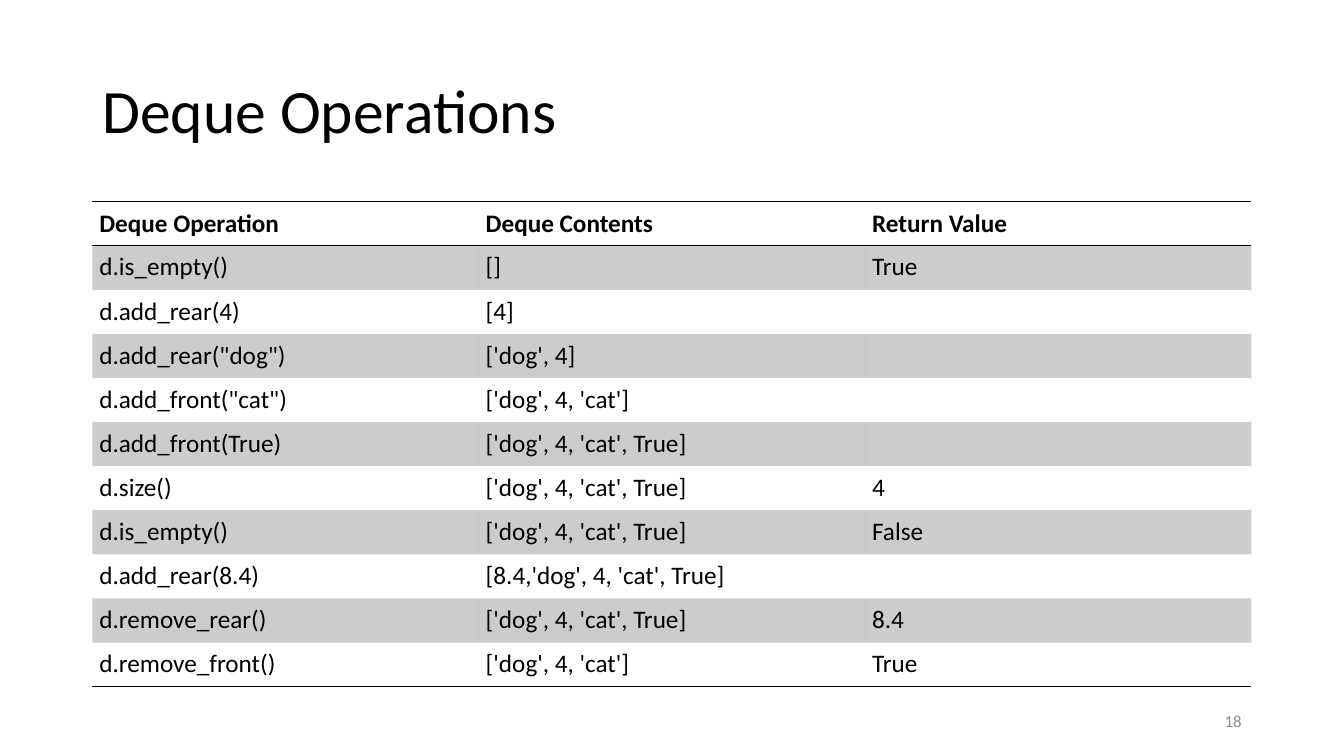
from lxml import etree
from pptx import Presentation
from pptx.dml.color import RGBColor
from pptx.enum.text import MSO_ANCHOR, PP_ALIGN
from pptx.oxml.ns import qn
from pptx.util import Pt

PX = 6350  # EMU per px, slide is 1920 x 1080 px
MIDDLE, BOTTOM, TOP = MSO_ANCHOR.MIDDLE, MSO_ANCHOR.BOTTOM, MSO_ANCHOR.TOP
RIGHT = PP_ALIGN.RIGHT
BLACK, GREY = "000000", "8C8C8C"
NO_STYLE = "{2D5ABB26-0587-4C30-8999-92F81FD0307C}"

ROWS = [
    ("Deque Operation", "Deque Contents", "Return Value"),
    ("d.is_empty()", "[]", "True"),
    ("d.add_rear(4)", "[4]", ""),
    ('d.add_rear("dog")', "['dog', 4]", ""),
    ('d.add_front("cat")', "['dog', 4, 'cat']", ""),
    ("d.add_front(True)", "['dog', 4, 'cat', True]", ""),
    ("d.size()", "['dog', 4, 'cat', True]", "4"),
    ("d.is_empty()", "['dog', 4, 'cat', True]", "False"),
    ("d.add_rear(8.4)", "[8.4,'dog', 4, 'cat', True]", ""),
    ("d.remove_rear()", "['dog', 4, 'cat', True]", "8.4"),
    ("d.remove_front()", "['dog', 4, 'cat']", "True"),
]
COL_W, ROW_H = 552, 63


def add_run(p, text, size, color, bold=False):
    r = p.add_run()
    r.text = text
    r.font.name, r.font.size, r.font.bold = "Calibri", Pt(size), bold
    r.font.color.rgb = RGBColor.from_string(color)


def add_border(cell, tag):
    """Draw a 1 pt black line on the side named by tag (a:lnT or a:lnB)."""
    ln = etree.Element(qn(tag), w=str(Pt(1)))
    fill = etree.SubElement(ln, qn("a:solidFill"))
    etree.SubElement(fill, qn("a:srgbClr"), val=BLACK)
    cell._tc.get_or_add_tcPr().insert(0, ln)


prs = Presentation()
prs.slide_width, prs.slide_height = 1920 * PX, 1080 * PX
s = prs.slides.add_slide(prs.slide_layouts[5])

# Title
title = s.shapes.title
title.left, title.top, title.width, title.height = 132 * PX, 58 * PX, 1656 * PX, 209 * PX
title.text_frame.vertical_anchor = MIDDLE
p = title.text_frame.paragraphs[0]
p.alignment = PP_ALIGN.LEFT
p.line_spacing = 0.9
add_run(p, "Deque Operations", 44, BLACK)

# Table
frame = s.shapes.add_table(len(ROWS), 3, 132 * PX, 288 * PX,
                           3 * COL_W * PX, len(ROWS) * ROW_H * PX)
table = frame.table
table.first_row = table.horz_banding = False
table._tbl.tblPr.find(qn("a:tableStyleId")).text = NO_STYLE
for col in table.columns:
    col.width = COL_W * PX

for i, row in enumerate(ROWS):
    table.rows[i].height = ROW_H * PX
    header = i == 0
    for j, text in enumerate(row):
        cell = table.cell(i, j)
        cell.margin_left = cell.margin_right = 10 * PX
        cell.margin_top = cell.margin_bottom = 9 * PX
        cell.vertical_anchor = BOTTOM if header else TOP
        if text:
            add_run(cell.text_frame.paragraphs[0], text, 18, BLACK, header)
        if i % 2:
            cell.fill.solid()
            cell.fill.fore_color.rgb = RGBColor.from_string(BLACK)
            color = cell._tc.tcPr.find(".//" + qn("a:srgbClr"))
            etree.SubElement(color, qn("a:alpha"), val="20000")
        else:
            cell.fill.background()
        if header or i == len(ROWS) - 1:
            add_border(cell, "a:lnB")
        if header:
            add_border(cell, "a:lnT")

# Slide number
number = s.shapes.add_textbox(1356 * PX, 1001 * PX, 432 * PX, 58 * PX)
tf = number.text_frame
tf.word_wrap = True
tf.vertical_anchor = MIDDLE
tf.paragraphs[0].alignment = RIGHT
add_run(tf.paragraphs[0], "18", 12, GREY)

prs.save("out.pptx")
